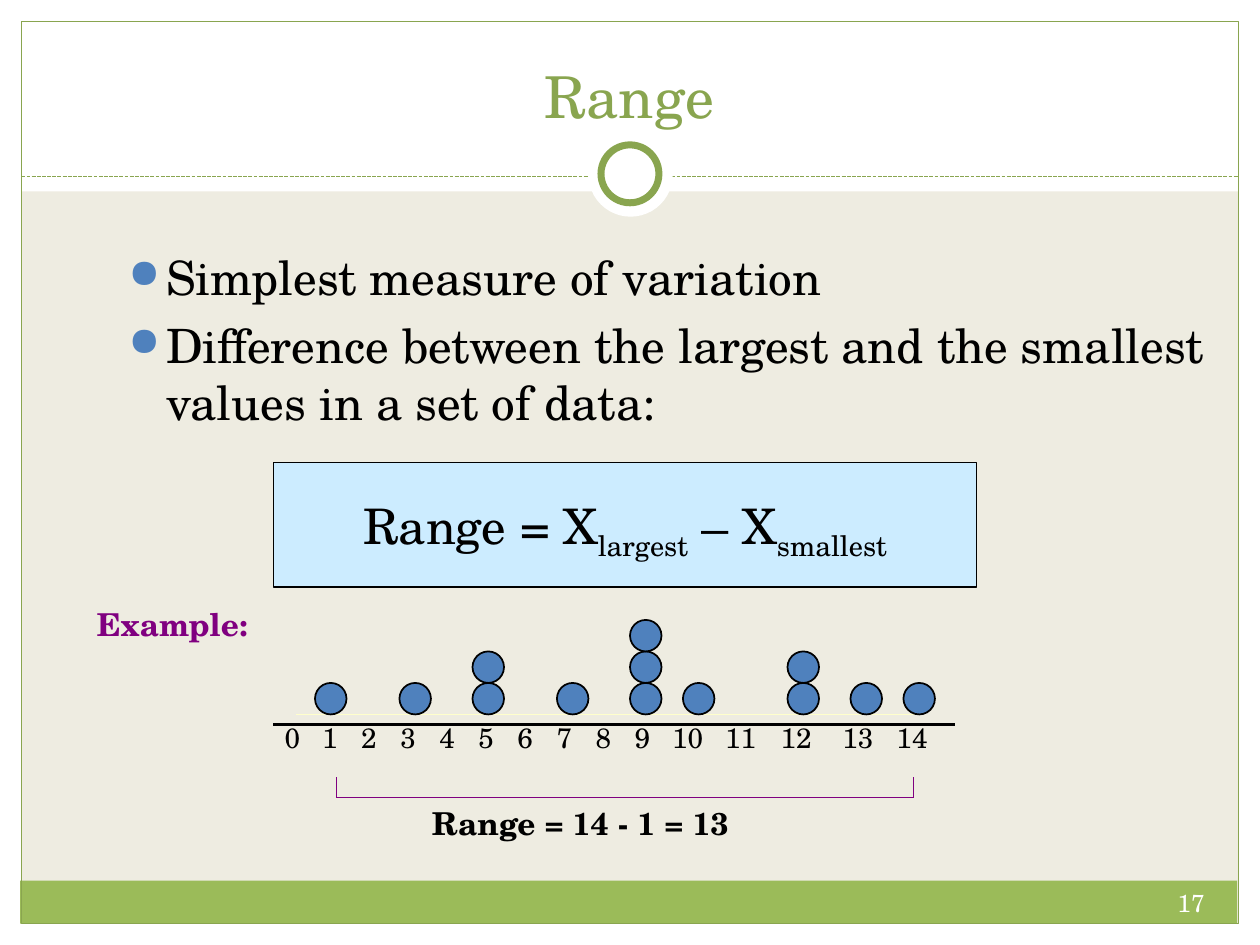
"""Build the slide that explains the range as a measure of variation."""
from lxml import etree
from pptx import Presentation
from pptx.dml.color import RGBColor
from pptx.enum.dml import MSO_LINE
from pptx.enum.shapes import MSO_CONNECTOR, MSO_SHAPE
from pptx.enum.text import MSO_ANCHOR, PP_ALIGN
from pptx.oxml.ns import qn
from pptx.util import Inches, Pt

RECTANGLE, ELLIPSE = MSO_SHAPE.RECTANGLE, MSO_SHAPE.OVAL
STRAIGHT, DASH = MSO_CONNECTOR.STRAIGHT, MSO_LINE.SQUARE_DOT
LEFT, CENTER, RIGHT = PP_ALIGN.LEFT, PP_ALIGN.CENTER, PP_ALIGN.RIGHT
TOP, BOTTOM = MSO_ANCHOR.TOP, MSO_ANCHOR.BOTTOM

BLACK = RGBColor(0x00, 0x00, 0x00)
WHITE = RGBColor(0xFF, 0xFF, 0xFF)
CREAM = RGBColor(0xEE, 0xEC, 0xE1)
GREEN = RGBColor(0x9B, 0xBB, 0x59)
DARK_GREEN = RGBColor(0x89, 0xA5, 0x4F)
BLUE = RGBColor(0x4F, 0x81, 0xBD)
PALE_BLUE = RGBColor(0xCC, 0xEC, 0xFF)
PALE_YELLOW = RGBColor(0xFF, 0xFF, 0xCC)
PURPLE = RGBColor(0x80, 0x00, 0x80)

DOT = 0.25
DOTS_BASE = 5.67
DOT_COLUMNS = {2.5: 1, 3.17: 1, 3.75: 2, 4.42: 1, 5: 3, 5.42: 1, 6.25: 2, 6.75: 1, 7.17: 1}
LABEL_STOPS = [round(0.05 + 0.31 * value, 2) for value in range(1, 10)] + [3.2, 3.62, 4.06, 4.55, 4.98]


class SlideBuilder:
    """Hold the text style and the current slide, and add elements to it."""

    def __init__(self, slide, font):
        self.slide = slide
        self.font = font

    def shape(self, kind, at, fill=None, line=None, width=1):
        shape = self.slide.shapes.add_shape(kind, *map(Inches, at))
        shape.shadow.inherit = False
        if fill is None:
            shape.fill.background()
        else:
            shape.fill.solid()
            shape.fill.fore_color.rgb = fill
        if line is None:
            shape.line.fill.background()
        else:
            shape.line.color.rgb = line
            shape.line.width = Pt(width)
        return shape

    def line(self, start, end, color, width, dash=None):
        line = self.slide.shapes.add_connector(STRAIGHT, *map(Inches, start + end))
        line.line.color.rgb = color
        line.line.width = Pt(width)
        if dash is not None:
            line.line.dash_style = dash
        etree.SubElement(line._element.spPr, qn("a:effectLst"))

    def style(self, para, size, color, align=LEFT, bold=False):
        para.alignment = align
        for span in para.runs:
            span.font.name = self.font
            span.font.size = Pt(size)
            span.font.color.rgb = color
            span.font.bold = bold

    def text(self, at, words, size, color=BLACK, align=LEFT, bold=False, anchor=TOP):
        box = self.slide.shapes.add_textbox(*map(Inches, at))
        frame = box.text_frame
        frame.word_wrap = True
        frame.vertical_anchor = anchor
        frame.text = words
        for para in frame.paragraphs:
            self.style(para, size, color, align, bold)
        return frame

    def bullets(self, at, items, size, color):
        for para in self.text(at, "\n".join(items), size).paragraphs:
            para.space_before = Pt(6.4)
            properties = para._p.get_or_add_pPr()
            properties.set("marL", str(Inches(0.3)))
            properties.set("indent", str(Inches(-0.3)))
            bullet_color = etree.SubElement(properties, qn("a:buClr"))
            etree.SubElement(bullet_color, qn("a:srgbClr"), val=str(color))
            etree.SubElement(properties, qn("a:buSzPct"), val="85000")
            etree.SubElement(properties, qn("a:buChar"), char="●")

    def axis_labels(self, at, labels, stops, size):
        para = self.text(at, "\t".join(labels), size).paragraphs[0]
        tabs = etree.SubElement(para._p.get_or_add_pPr(), qn("a:tabLst"))
        for stop in stops:
            etree.SubElement(tabs, qn("a:tab"), pos=str(Inches(stop)), algn="ctr")

    def formula(self, at, parts, size):
        frame = self.shape(RECTANGLE, at, PALE_BLUE, BLACK).text_frame
        frame.word_wrap = True
        frame.vertical_anchor = TOP
        para = frame.paragraphs[0]
        para.line_spacing = 1.4
        para.space_before = Pt(14)
        for words, lowered in parts:
            span = para.add_run()
            span.text = words
            if lowered:
                span._r.get_or_add_rPr().set("baseline", "-25000")
        self.style(para, size, BLACK, CENTER)


def main():
    deck = Presentation()
    deck.slide_width, deck.slide_height = Inches(10), Inches(7.5)
    page = deck.slides.add_slide(deck.slide_layouts[6])
    page.background.fill.solid()
    page.background.fill.fore_color.rgb = CREAM
    builder = SlideBuilder(page, "TeX Gyre Schola")

    for border in ((0, 7.33, 10, 0.17), (0, 0, 10, 1.52), (0, 0, 0.17, 7.5), (9.83, 0, 0.17, 7.5)):
        builder.shape(RECTANGLE, border, WHITE)
    builder.shape(RECTANGLE, (0.16, 6.99, 9.66, 0.34), GREEN)
    builder.shape(RECTANGLE, (0.17, 0.17, 9.66, 7.16), None, DARK_GREEN, 0.75)
    builder.line((0.17, 1.4), (9.83, 1.4), DARK_GREEN, 0.75, DASH)
    builder.shape(ELLIPSE, (4.67, 1.05, 0.67, 0.67), WHITE)
    builder.shape(ELLIPSE, (4.77, 1.15, 0.46, 0.46), WHITE, DARK_GREEN, 4)
    builder.text((6.33, 7, 3.33, 0.4), "17", 14, WHITE, RIGHT)
    builder.text((0.33, 0.25, 9.33, 0.83), "Range", 33, DARK_GREEN, CENTER, anchor=BOTTOM)

    builder.bullets((0.92, 1.92, 8.83, 4.96), (
        "Simplest measure of variation",
        "Difference between the largest and the smallest values in a set of data:",
    ), 27, BLUE)
    builder.formula((2.17, 3.67, 5.58, 0.99), (
        ("Range = X", False), ("largest", True), (" – X", False), ("smallest", True),
    ), 28)

    for start, end in ((2.35, 6.02), (5.85, 7.27)):
        builder.line((start, DOTS_BASE), (end, DOTS_BASE), PALE_YELLOW, 1)
    for left, count in DOT_COLUMNS.items():
        for level in range(1, count + 1):
            builder.shape(ELLIPSE, (left, DOTS_BASE - level * DOT, DOT, DOT), BLUE, BLACK)
    labels = [str(value) for value in range(15)]
    builder.axis_labels((2.16, 5.67, 6.18, 0.36), labels, LABEL_STOPS, 16)

    builder.line((2.67, 6.33), (7.25, 6.33), PURPLE, 0.75)
    for bracket_end in (2.67, 7.25):
        builder.line((bracket_end, 6.33), (bracket_end, 6.17), PURPLE, 0.75)
    builder.text((3.33, 6.33, 4.5, 0.5), "Range = 14 - 1 = 13", 18, bold=True)
    builder.line((2.17, 5.75), (7.58, 5.75), BLACK, 1.5)
    builder.text((0.67, 4.75, 4.5, 0.5), "Example:", 18, PURPLE, bold=True)

    deck.save("out.pptx")


if __name__ == "__main__":
    main()
